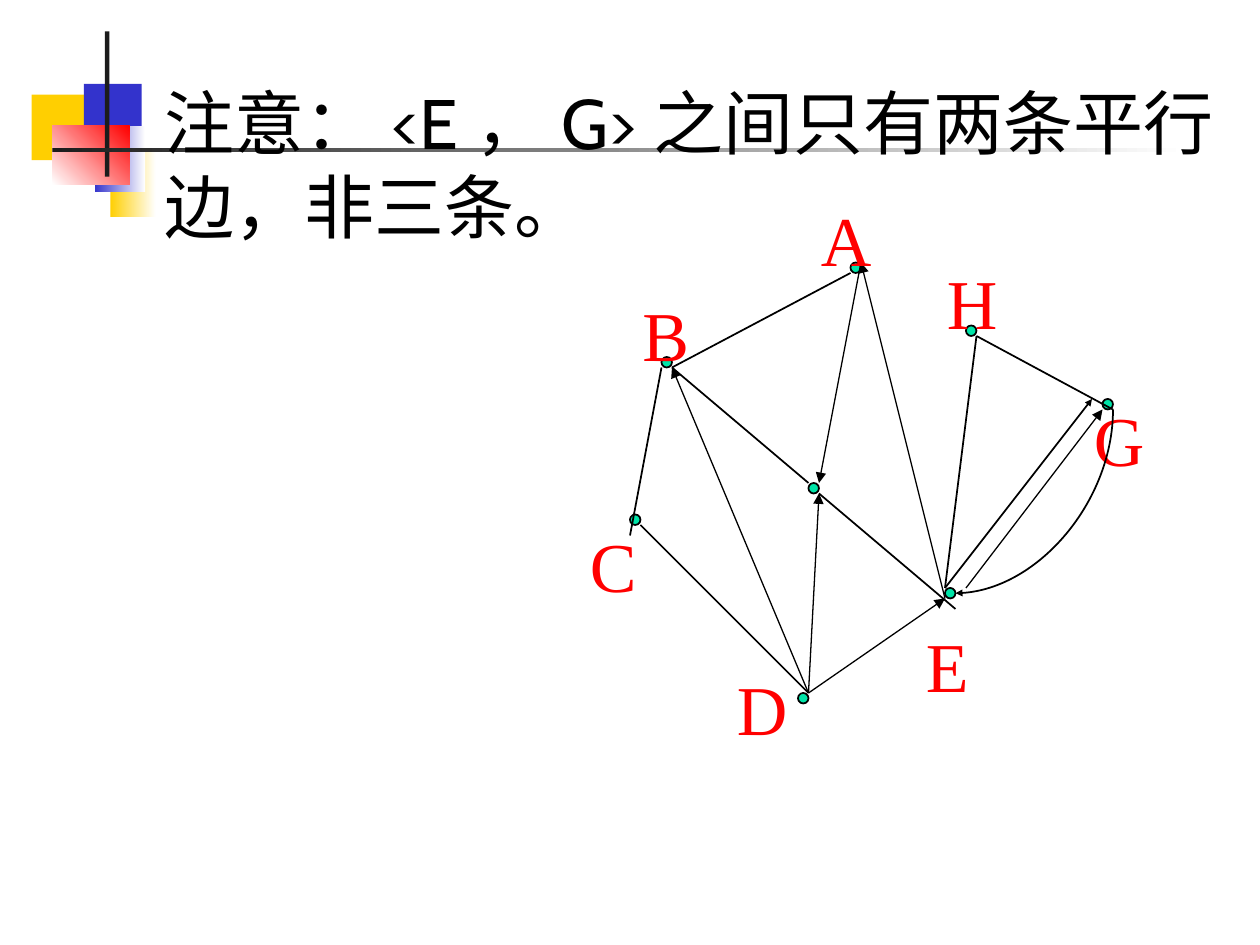
from lxml import etree
from pptx import Presentation
from pptx.dml.color import RGBColor
from pptx.enum import shapes, text
from pptx.oxml import ns
from pptx.util import Pt

HUES = {
    "gold": "FFCF01", "blue": "3333CC", "red": "FF0000", "dark": "1C1C1C",
    "white": "FFFFFF", "black": "000000", "green": "00E4A8",
}
BLOCKS = [
    (18, 54, 34.5, 37.5, "gold", None, 0),
    (63, 86.5, 26, 37.5, "gold", "white", 0),
    (48, 48, 33, 37.5, "blue", None, 0),
    (54, 72, 29, 37.5, "blue", "white", 0),
    (30, 72, 44, 33.5, "white", "red", 45),
    (60, 18, 2.5, 83, "dark", None, 0),
    (30, 84.5, 648, 2.5, "dark", "white", 0),
]
DOTS = [(486, 150), (462, 276), (630, 228), (540, 336),
        (456, 396), (360, 294), (378, 204), (552, 186)]
EDGES = [
    (384, 210, 486, 156), (378, 210, 360, 306), (558, 192, 636, 234),
    (366, 300, 462, 396), (384, 210, 462, 276), (468, 282, 546, 348),
    (558, 192, 540, 336),
]
ARROWS = [
    (462, 396, 540, 342), (462, 396, 384, 210), (492, 150, 468, 276),
    (540, 342, 492, 150), (462, 396, 468, 282), (552, 336, 630, 234),
]
LABELS = [
    ("D", 414, 376, 60), ("A", 462, 108, 54), ("B", 360, 162, 48),
    ("C", 330, 294, 42), ("E", 522, 351, 36), ("G", 618, 222, 54),
    ("H", 534, 144, 36),
]


def hue(name):
    return RGBColor.from_string(HUES[name])


def block(slide, left, top, wide, high, first, last, angle):
    box = slide.shapes.add_shape(
        shapes.MSO_SHAPE.RECTANGLE, Pt(left), Pt(top), Pt(wide), Pt(high))
    box.shadow.inherit = False
    box.line.fill.background()
    if last is None:
        box.fill.solid()
        box.fill.fore_color.rgb = hue(first)
        return
    box.fill.gradient()
    box.fill.gradient_angle = angle
    for stop, name, place in zip(box.fill.gradient_stops, (first, last), (0, 1)):
        stop.color.rgb = hue(name)
        stop.position = place


def dot(slide, left, top, size=6):
    mark = slide.shapes.add_shape(
        shapes.MSO_SHAPE.OVAL, Pt(left), Pt(top), Pt(size), Pt(size))
    mark.shadow.inherit = False
    mark.fill.solid()
    mark.fill.fore_color.rgb = hue("green")
    mark.line.color.rgb = hue("black")
    mark.line.width = Pt(1)


def edge(slide, ends, width=1, head=None, kind=shapes.MSO_CONNECTOR.STRAIGHT):
    link = slide.shapes.add_connector(kind, *[Pt(end) for end in ends])
    link.line.color.rgb = hue("black")
    link.line.width = Pt(width)
    if head:
        etree.SubElement(link.line._get_or_add_ln(), ns.qn("a:tailEnd"),
                         type="triangle", w=head, len=head)
    etree.SubElement(link._element.spPr, ns.qn("a:effectLst"))
    return link


def curve(slide, ends):
    link = edge(slide, ends, head="sm", kind=shapes.MSO_CONNECTOR.CURVE)
    props = link._element.spPr
    props.find(ns.qn("a:prstGeom")).set("prst", "curvedConnector2")
    props.find(ns.qn("a:xfrm")).set("rot", str(90 * 60000))


def write(slide, words, left, top, wide, high, font, color, size=40,
          inset=3.6, indent=0):
    box = slide.shapes.add_textbox(Pt(left), Pt(top), Pt(wide), Pt(high))
    frame = box.text_frame
    frame.word_wrap = True
    frame.auto_size = text.MSO_AUTO_SIZE.NONE
    frame.margin_top = Pt(inset)
    para = frame.paragraphs[0]
    para._p.get_or_add_pPr().set("marL", str(Pt(indent)))
    run = para.add_run()
    run.text = words
    run.font.name = font
    run.font.size = Pt(size)
    run.font.color.rgb = hue(color)


def main():
    deck = Presentation()
    deck.slide_width, deck.slide_height = Pt(720), Pt(540)
    slide = deck.slides.add_slide(deck.slide_layouts[6])
    for item in BLOCKS:
        block(slide, *item)
    write(slide, "注意：<E，G>之间只有两条平行边，非三条。", 60, 42, 644, 438,
          font="Cabin", color="black", indent=27)
    for spot in DOTS:
        dot(slide, *spot)
    for ends in EDGES:
        edge(slide, ends)
    for ends in ARROWS:
        edge(slide, ends, width=0.75, head="med")
    edge(slide, (540, 336, 624, 228), head="sm")
    for word, left, top, wide in LABELS:
        write(slide, word, left, top, wide, 52, inset=4.5,
              font="Times New Roman", color="red")
    curve(slide, (538.5, 241.5, 643.5, 331.5))
    deck.save("out.pptx")


if __name__ == "__main__":
    main()
